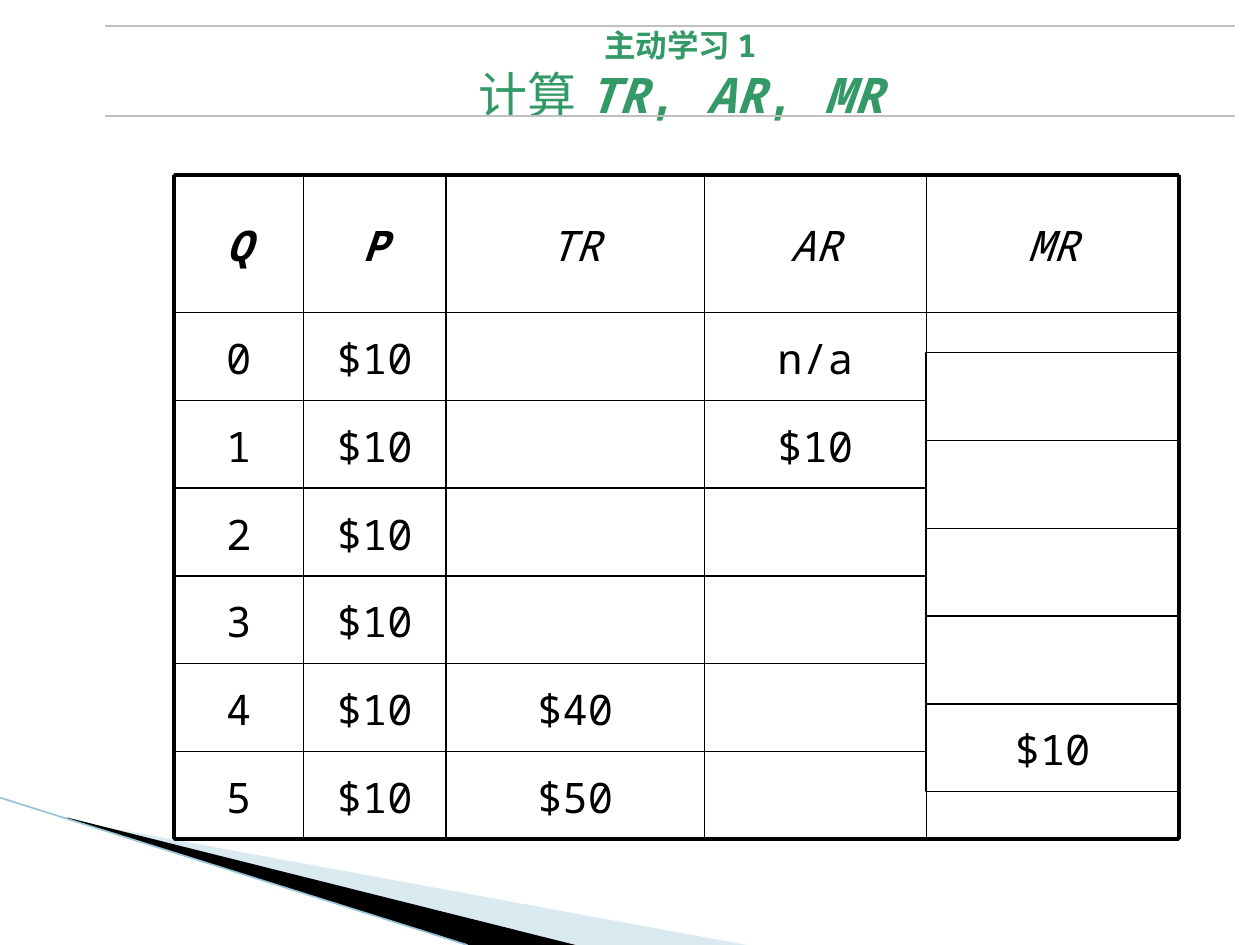
"""Build the exercise slide with the TR, AR and MR table."""
from itertools import pairwise

from lxml.etree import SubElement
from pptx import Presentation
from pptx.dml.color import RGBColor
from pptx.enum.shapes import MSO_CONNECTOR as Connector, MSO_SHAPE as Shape
from pptx.enum.text import MSO_ANCHOR as Anchor, PP_ALIGN as Align
from pptx.oxml.ns import qn
from pptx.util import Cm, Pt

BLACK = RGBColor(0x00, 0x00, 0x00)
WHITE = RGBColor(0xFF, 0xFF, 0xFF)
GREEN = RGBColor(0x33, 0x99, 0x66)
SILVER = RGBColor(0xC0, 0xC0, 0xC0)
PALE_BLUE = RGBColor(0xA0, 0xCB, 0xDC)
EDGE_BLUE = RGBColor(0x97, 0xC5, 0xD8)

COLUMNS = [3.51, 6.12, 8.99, 14.2, 18.67, 23.77]
TOP, HEADER_BOTTOM, ROW = 3.53, 6.3, 1.77
ROWS = [TOP] + [HEADER_BOTTOM + ROW * i for i in range(7)]
LEFT, RIGHT, BOTTOM = COLUMNS[0], COLUMNS[-1], ROWS[-1]
HEADINGS = ["Q", "P", "TR", "AR", "MR"]
VALUES = [
    ["0", "$10", "", "n/a"],
    ["1", "$10", "", "$10"],
    ["2", "$10", "", ""],
    ["3", "$10", "", ""],
    ["4", "$10", "$40", ""],
    ["5", "$10", "$50", ""],
]
MARGINALS = ["", "", "", "", "$10"]
MARGINAL_TOP = 7.11


class Painter:
    latin = "Noto Sans Mono"
    asian = "Lato"
    body_size = 24
    thin, thick = 0.75, 2.25

    def __init__(self, slide):
        self.slide = slide

    def line(self, x1, y1, x2, y2, width=thin, color=BLACK):
        rule = self.slide.shapes.add_connector(
            Connector.STRAIGHT, Cm(x1), Cm(y1), Cm(x2), Cm(y2))
        rule.line.color.rgb = color
        rule.line.width = Pt(width)
        SubElement(rule._element.spPr, qn("a:effectLst"))

    def wedge(self, points, color, opacity=100):
        start, *rest = [(Cm(x), Cm(y)) for x, y in points]
        builder = self.slide.shapes.build_freeform(*start, scale=1.0)
        builder.add_line_segments(rest, close=True)
        wedge = builder.convert_to_shape()
        wedge.shadow.inherit = False
        wedge.fill.solid()
        wedge.fill.fore_color.rgb = color
        wedge.line.fill.background()
        if opacity < 100:
            tint = wedge._element.spPr.find(qn("a:solidFill"))[0]
            SubElement(tint, qn("a:alpha"), val=str(opacity * 1000))

    def panel(self, x, y, width, height, text=""):
        panel = self.slide.shapes.add_shape(
            Shape.RECTANGLE, Cm(x), Cm(y), Cm(width), Cm(height))
        panel.shadow.inherit = False
        panel.fill.solid()
        panel.fill.fore_color.rgb = WHITE
        panel.line.color.rgb = BLACK
        panel.line.width = Pt(self.thin)
        if text:
            self.label(panel.text_frame, text)

    def cell(self, x, y, width, height, text, bold=False, italic=False):
        cell = self.slide.shapes.add_textbox(Cm(x), Cm(y), Cm(width), Cm(height))
        self.label(cell.text_frame, text, bold, italic)

    def label(self, frame, text, bold=False, italic=False):
        frame.text = text
        frame.word_wrap = True
        frame.vertical_anchor = Anchor.MIDDLE
        paragraph = frame.paragraphs[0]
        paragraph.alignment = Align.CENTER
        paragraph.line_spacing = 1.05
        self.style(paragraph.runs[0], self.body_size, BLACK, bold, italic)

    def style(self, run, size, color, bold=False, italic=False):
        font = run.font
        font.name, font.size = self.latin, Pt(size)
        font.bold, font.italic = bold, italic
        font.color.rgb = color

    def title(self, x, y, width, height, kicker, lead, terms):
        box = self.slide.shapes.add_textbox(Cm(x), Cm(y), Cm(width), Cm(height))
        frame = box.text_frame
        frame.word_wrap = True
        frame.margin_top = frame.margin_bottom = 0
        paragraph = frame.paragraphs[0]
        paragraph.text = f"{kicker}\v{lead}"
        paragraph.alignment = Align.CENTER
        kicker_run, lead_run = paragraph.runs
        self.style(kicker_run, 18, GREEN, bold=True)
        self.style(lead_run, 28, GREEN)
        for run in (kicker_run, lead_run):
            SubElement(run._r.get_or_add_rPr(), qn("a:ea"), typeface=self.asian)
        for i, term in enumerate(terms):
            if i:
                self.add_run(paragraph, ", ", False)
            self.add_run(paragraph, term, True)

    def add_run(self, paragraph, text, italic):
        run = paragraph.add_run()
        run.text = text
        self.style(run, 28, GREEN, bold=True, italic=italic)


def main():
    deck = Presentation()
    deck.slide_width, deck.slide_height = Cm(25.4), Cm(19.05)
    painter = Painter(deck.slides.add_slide(deck.slide_layouts[6]))

    painter.wedge([(1.4, 16.54), (15.05, 19.05), (11.58, 19.05), (1.4, 16.51)],
                  PALE_BLUE, opacity=40)
    painter.wedge([(1.35, 16.48), (11.6, 19.05), (9.45, 19.05), (1.37, 16.51)],
                  BLACK)
    painter.line(0, 16.08, 9.42, 19.05, 0.95, EDGE_BLUE)

    painter.title(2.31, 0.53, 22.81, 2.64, "主动学习 1", "计算 ", ["TR", "AR", "MR"])
    painter.line(2.11, 0.53, 24.89, 0.53, 1, SILVER)

    painter.panel(LEFT, TOP, RIGHT - LEFT, BOTTOM - TOP)
    spans = list(pairwise(COLUMNS))
    for (x, right), heading in zip(spans, HEADINGS):
        painter.cell(x, TOP, right - x, HEADER_BOTTOM - TOP, heading,
                     bold=heading in ("Q", "P"), italic=True)
    for y, values in zip(ROWS[1:], VALUES):
        for (x, right), value in zip(spans, values):
            if value:
                painter.cell(x, y, right - x, ROW, value)

    for y in ROWS:
        outer = y in (TOP, BOTTOM)
        painter.line(LEFT, y, RIGHT, y, painter.thick if outer else painter.thin)
    for x in COLUMNS[:-1]:
        painter.line(x, TOP, x, BOTTOM, painter.thick if x == LEFT else painter.thin)

    marginal_left = COLUMNS[-2]
    for i, value in enumerate(MARGINALS):
        painter.panel(marginal_left, MARGINAL_TOP + i * ROW,
                      RIGHT - marginal_left, ROW, value)
    painter.line(RIGHT, TOP, RIGHT, BOTTOM, painter.thick)
    painter.line(2.11, 2.34, 24.89, 2.34, 1, SILVER)

    deck.save("out.pptx")


if __name__ == "__main__":
    main()
